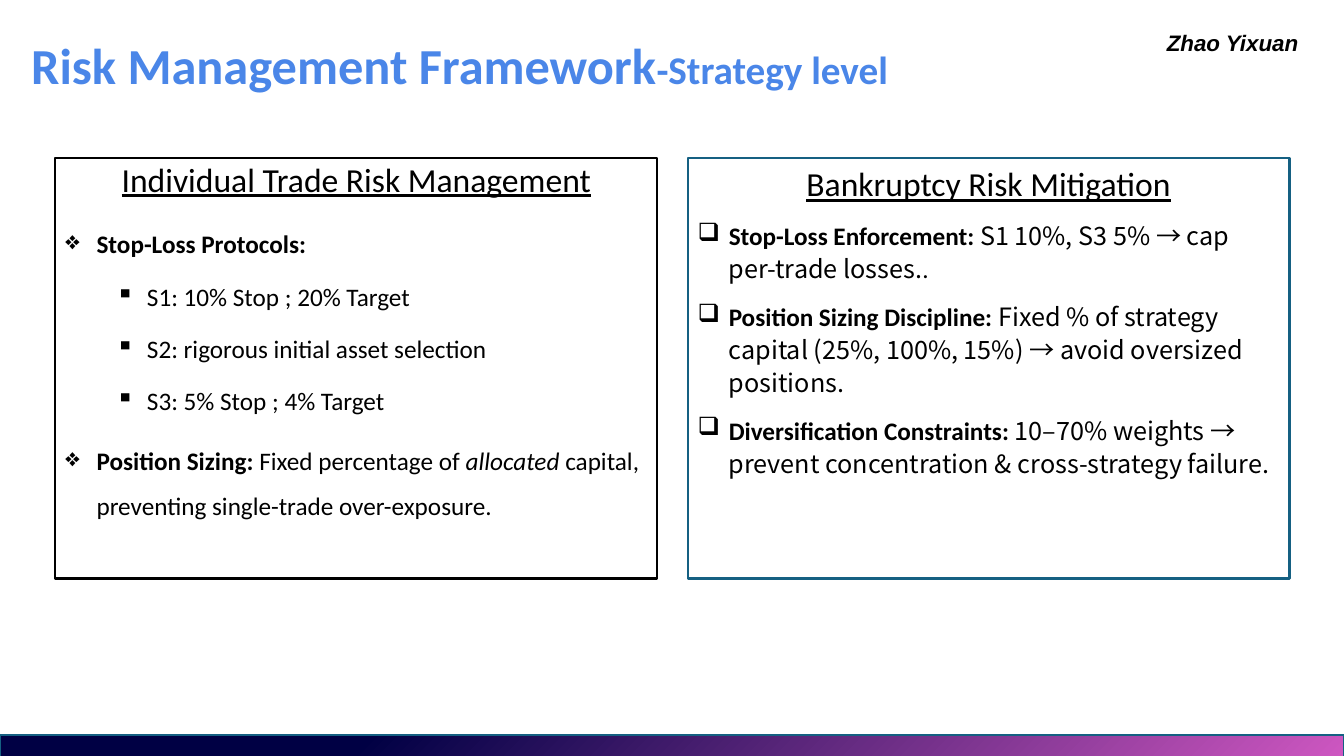
import dataclasses

import lxml.etree
import pptx
import pptx.dml.color
import pptx.enum.shapes
import pptx.enum.text
import pptx.oxml.ns
import pptx.util

Inches = pptx.util.Inches
Align = pptx.enum.text.PP_ALIGN


@dataclasses.dataclass(frozen=True)
class Theme:
    black: str = "000000"
    white: str = "FFFFFF"
    title_blue: str = "4A86E8"
    teal: str = "156082"
    navy: str = "000044"
    pink: str = "CE57C1"
    main_font: str = "Calibri"
    detail_font: str = "Noto Sans CJK SC"
    author_font: str = "Arial"
    title_size: int = 36
    subtitle_size: int = 28
    heading_size: int = 24
    body_size: int = 18
    author_size: int = 16


def rgb(value):
    return pptx.dml.color.RGBColor.from_string(value)


def set_all(target, values):
    for name, value in values.items():
        setattr(target, name, value)


class Page:
    def __init__(self, deck, theme):
        self.theme = theme
        self.slide = deck.slides.add_slide(deck.slide_layouts[6])

    def rectangle(self, place, line, width):
        box = self.slide.shapes.add_shape(
            pptx.enum.shapes.MSO_SHAPE.RECTANGLE, *map(Inches, place))
        box.shadow.inherit = False
        box.line.color.rgb = rgb(line)
        box.line.width = pptx.util.Pt(width)
        return box

    def gradient_bar(self, place):
        bar = self.rectangle(place, self.theme.teal, 1)
        bar.rotation = 180
        bar.fill.gradient()
        bar.fill.gradient_angle = 135
        stops = ((0.27, self.theme.navy), (1, self.theme.pink))
        for stop, (position, color) in zip(bar.fill.gradient_stops, stops):
            stop.position = position
            stop.color.rgb = rgb(color)

    def panel(self, place, line, paragraphs):
        box = self.rectangle(place, line, 1.5)
        box.fill.solid()
        box.fill.fore_color.rgb = rgb(self.theme.white)
        self.fill_text(box.text_frame, paragraphs)

    def label(self, place, paragraphs, **frame_values):
        box = self.slide.shapes.add_textbox(*map(Inches, place))
        self.fill_text(box.text_frame, paragraphs)
        set_all(box.text_frame, frame_values)

    def fill_text(self, frame, paragraphs):
        set_all(frame, {"word_wrap": True,
                        "vertical_anchor": pptx.enum.text.MSO_ANCHOR.TOP})
        for index, (values, bullet, spans) in enumerate(paragraphs):
            para = frame.paragraphs[0] if index == 0 else frame.add_paragraph()
            set_all(para, {"alignment": Align.LEFT, **values})
            if bullet:
                self.bullet(para, bullet)
            for text, span_values in spans:
                self.span(para, text, span_values)

    def bullet(self, para, character):
        properties = para._p.get_or_add_pPr()
        indent = Inches(0.31)
        margin = indent + Inches(0.5) * para.level
        properties.set("marL", str(margin))
        properties.set("indent", str(-indent))
        mark = lxml.etree.SubElement(properties, pptx.oxml.ns.qn("a:buChar"))
        mark.set("char", character)

    def span(self, para, text, values):
        span = para.add_run()
        span.text = text
        format_values = {"name": self.theme.main_font,
                         "size": self.theme.body_size,
                         "color": self.theme.black, **values}
        span.font.color.rgb = rgb(format_values.pop("color"))
        format_values["size"] = pptx.util.Pt(format_values["size"])
        set_all(span.font, format_values)
        east_asian = lxml.etree.SubElement(
            span.font._element, pptx.oxml.ns.qn("a:ea"))
        east_asian.set("typeface", format_values["name"])


def main():
    theme = Theme()
    deck = pptx.Presentation()
    set_all(deck, {"slide_width": Inches(13.33), "slide_height": Inches(7.5)})
    page = Page(deck, theme)

    bold = {"bold": True}
    detail = {"name": theme.detail_font}
    heading = {"size": theme.heading_size, "underline": True}
    title = {"size": theme.title_size, "color": theme.title_blue, "bold": True}
    centred = {"alignment": Align.CENTER}
    item = {"line_spacing": 1.5, "space_before": pptx.util.Pt(10)}
    sub_item = {**item, "space_before": pptx.util.Pt(5), "level": 1}
    measure = {**item, "line_spacing": 1.1}

    page.label((0.31, 0.28, 10.72, 0.67), [
        ({"line_spacing": 1.1}, None, [
            ("Risk Management Framework", title),
            ("-Strategy level", {**title, "size": theme.subtitle_size})]),
    ], margin_left=0, margin_top=0, margin_right=0, margin_bottom=0)

    strategies = ("S1: 10% Stop ; 20% Target",
                  "S2: rigorous initial asset selection",
                  "S3: 5% Stop ; 4% Target")
    page.panel((0.55, 1.57, 5.97, 4.17), theme.black, [
        ({**centred, "line_spacing": 0.9}, None,
         [("Individual Trade Risk Management", heading)]),
        (item, "❖", [("Stop-Loss Protocols:", bold)]),
        *[(sub_item, "▪", [(text, {})]) for text in strategies],
        (item, "❖", [
            ("Position Sizing:", bold),
            (" Fixed percentage of ", {}),
            ("allocated", {"italic": True}),
            (" capital, preventing single-trade over-exposure.", {})]),
    ])

    page.gradient_bar((0, 7.29, 13.33, 0.23))

    measures = (
        [("Stop-Loss Enforcement: ", bold),
         ("S1 10%, S3 5% → cap per-trade losses.", detail), (".", {})],
        [("Position Sizing Discipline: ", bold),
         ("Fixed % of strategy capital (25%, 100%, 15%) → "
          "avoid oversized positions.", detail)],
        [("Diversification Constraints: ", bold),
         ("10–70% weights → prevent concentration & "
          "cross-strategy failure.", detail)],
    )
    page.panel((6.82, 1.57, 5.97, 4.17), theme.teal, [
        (centred, None, [("Bankruptcy Risk Mitigation", heading)]),
        *[(measure, "❑", spans) for spans in measures],
    ])

    author = {"name": theme.author_font, "size": theme.author_size,
              "bold": True, "italic": True}
    page.label((11.43, 0.24, 1.59, 0.37),
               [(centred, None, [("Zhao Yixuan", author)])])

    deck.save("out.pptx")


if __name__ == "__main__":
    main()
